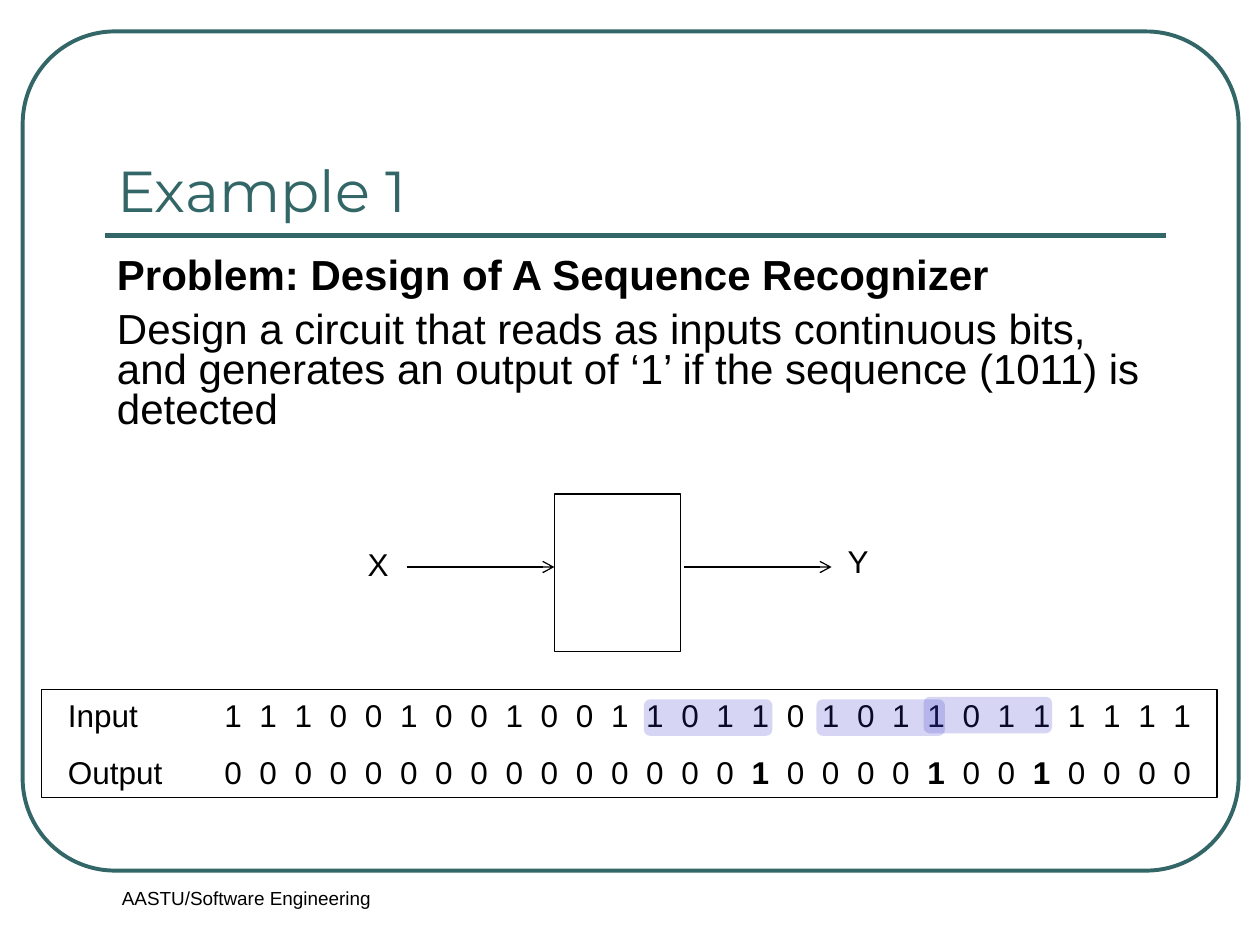
"""Build the sequence recognizer example slide."""
from itertools import groupby

from lxml.etree import SubElement
from pptx import Presentation
from pptx.dml.color import RGBColor
from pptx.enum.shapes import MSO_CONNECTOR, MSO_SHAPE
from pptx.enum.text import MSO_ANCHOR, PP_ALIGN
from pptx.oxml.ns import qn
from pptx.util import Inches, Pt

TEAL = RGBColor(0x33, 0x66, 0x66)
BLACK = RGBColor(0, 0, 0)
VIOLET = RGBColor(0x33, 0x33, 0xCC)

INPUT_BITS = "1110010010011011010110111111"
OUTPUT_BITS = "0000000000000001000010010000"
FIRST_BIT, BIT_STEP = 1.31, 0.279
MATCHES = [(5.11, 5.55), (6.48, 5.55), (7.33, 5.53)]


def apply(target, values):
    """Set each named attribute on the target."""
    for name, value in values.items():
        setattr(target, name, value)


def add_span(para, text, size, color=BLACK, font="Arial", bold=False):
    """Append a formatted run to a paragraph."""
    span = para.add_run()
    span.text = text
    apply(span.font, {"name": font, "size": Pt(size), "bold": bold})
    span.font.color.rgb = color


def add_shape(page, kind, bounds, line=None, weight=0.75, fill=None, alpha=None, corner=None):
    """Add a preset shape with the given outline and fill."""
    shape = page.shapes.add_shape(kind, *map(Inches, bounds))
    shape.shadow.inherit = False
    if corner is not None:
        shape.adjustments[0] = corner
    if line is None:
        shape.line.fill.background()
    else:
        shape.line.color.rgb = line
        shape.line.width = Pt(weight)
    if fill is None:
        shape.fill.background()
    else:
        shape.fill.solid()
        shape.fill.fore_color.rgb = fill
        color = shape.fill._xPr.find(qn("a:solidFill"))[0]
        SubElement(color, qn("a:alpha"), val=str(alpha * 1000))
    return shape


def add_line(page, left, right, height, color, weight, arrow=False):
    """Add a horizontal line, with an arrowhead on request."""
    line = page.shapes.add_connector(
        MSO_CONNECTOR.STRAIGHT, Inches(left), Inches(height), Inches(right), Inches(height))
    line.line.color.rgb = color
    line.line.width = Pt(weight)
    if arrow:
        SubElement(line.line._get_or_add_ln(), qn("a:tailEnd"), type="arrow")
    SubElement(line._element.spPr, qn("a:effectLst"))


def add_label(page, bounds, text, size, wrap=False):
    """Add a centred one-line text box."""
    box = page.shapes.add_textbox(*map(Inches, bounds))
    box.text_frame.word_wrap = wrap
    para = box.text_frame.paragraphs[0]
    para.alignment = PP_ALIGN.CENTER
    add_span(para, text, size)


def add_title(page, text):
    """Place and format the title placeholder."""
    title = page.shapes.title
    apply(title, {"left": Inches(0.83), "top": Inches(0.58),
                  "width": Inches(8.41), "height": Inches(1.25)})
    title.text_frame.vertical_anchor = MSO_ANCHOR.BOTTOM
    para = title.text_frame.paragraphs[0]
    para.alignment = PP_ALIGN.LEFT
    add_span(para, text, 33, TEAL, "Montserrat")


def add_problem(page, heading, statement):
    """Add the problem heading and its hanging-indent statement."""
    box = page.shapes.add_textbox(*map(Inches, (0.83, 2, 8.41, 1.5)))
    frame = box.text_frame
    frame.word_wrap = True
    paras = [frame.paragraphs[0], frame.add_paragraph()]
    for para, text, bold in zip(paras, (heading, statement), (True, False)):
        para.line_spacing = 0.8
        apply(para._p.get_or_add_pPr(), {"marL": Inches(0.38), "indent": Inches(-0.38)})
        add_span(para, text, 24, bold=bold)
    paras[1].space_before = Pt(7.7)


def add_bit_row(para, label, bits, bold_ones=False):
    """Write a label and its bits on evenly spaced centre tabs."""
    para.alignment = PP_ALIGN.LEFT
    tabs = SubElement(para._p.get_or_add_pPr(), qn("a:tabLst"))
    for index in range(len(bits)):
        position = Inches(FIRST_BIT + index * BIT_STEP)
        SubElement(tabs, qn("a:tab"), pos=str(position), algn="ctr")
    add_span(para, label, 18)
    for bit, group in groupby(bits):
        text = "".join("\t" + item for item in group)
        add_span(para, text, 18, bold=bold_ones and bit == "1")


def add_sequences(page):
    """Add the framed input and output sequences."""
    box = add_shape(page, MSO_SHAPE.RECTANGLE, (0.33, 5.47, 9.33, 0.86), BLACK)
    frame = box.text_frame
    apply(frame, {"word_wrap": True, "margin_left": Inches(0.21),
                  "vertical_anchor": MSO_ANCHOR.MIDDLE})
    add_bit_row(frame.paragraphs[0], "Input", INPUT_BITS)
    output = frame.add_paragraph()
    output.space_before = Pt(11.2)
    add_bit_row(output, "Output", OUTPUT_BITS, bold_ones=True)


def main():
    """Build and save the deck."""
    deck = Presentation()
    apply(deck, {"slide_width": Inches(10), "slide_height": Inches(7.5)})
    page = deck.slides.add_slide(deck.slide_layouts[5])
    add_shape(page, MSO_SHAPE.ROUNDED_RECTANGLE, (0.18, 0.25, 9.65, 6.66),
              TEAL, 2.25, corner=0.11)
    add_line(page, 0.83, 9.25, 1.87, TEAL, 3)
    add_title(page, "Example 1")
    add_problem(page, "Problem: Design of A Sequence Recognizer",
                "Design a circuit that reads as inputs continuous bits, and generates "
                "an output of ‘1’ if the sequence (1011) is detected")
    add_sequences(page)
    add_label(page, (0.83, 6.99, 2.25, 0.5), "AASTU/Software Engineering", 10.8, wrap=True)
    add_shape(page, MSO_SHAPE.RECTANGLE, (4.4, 3.92, 1, 1.25), BLACK)
    for left in (3.23, 5.43):
        add_line(page, left, left + 1.17, 4.5, BLACK, 0.75, arrow=True)
    add_label(page, (2.82, 4.28, 0.36, 0.4), "X", 18)
    add_label(page, (6.63, 4.25, 0.36, 0.4), "Y", 18)
    for left, top in MATCHES:
        add_shape(page, MSO_SHAPE.ROUNDED_RECTANGLE, (left, top, 1.02, 0.29),
                  fill=VIOLET, alpha=20, corner=0.17)
    deck.save("out.pptx")


if __name__ == "__main__":
    main()
